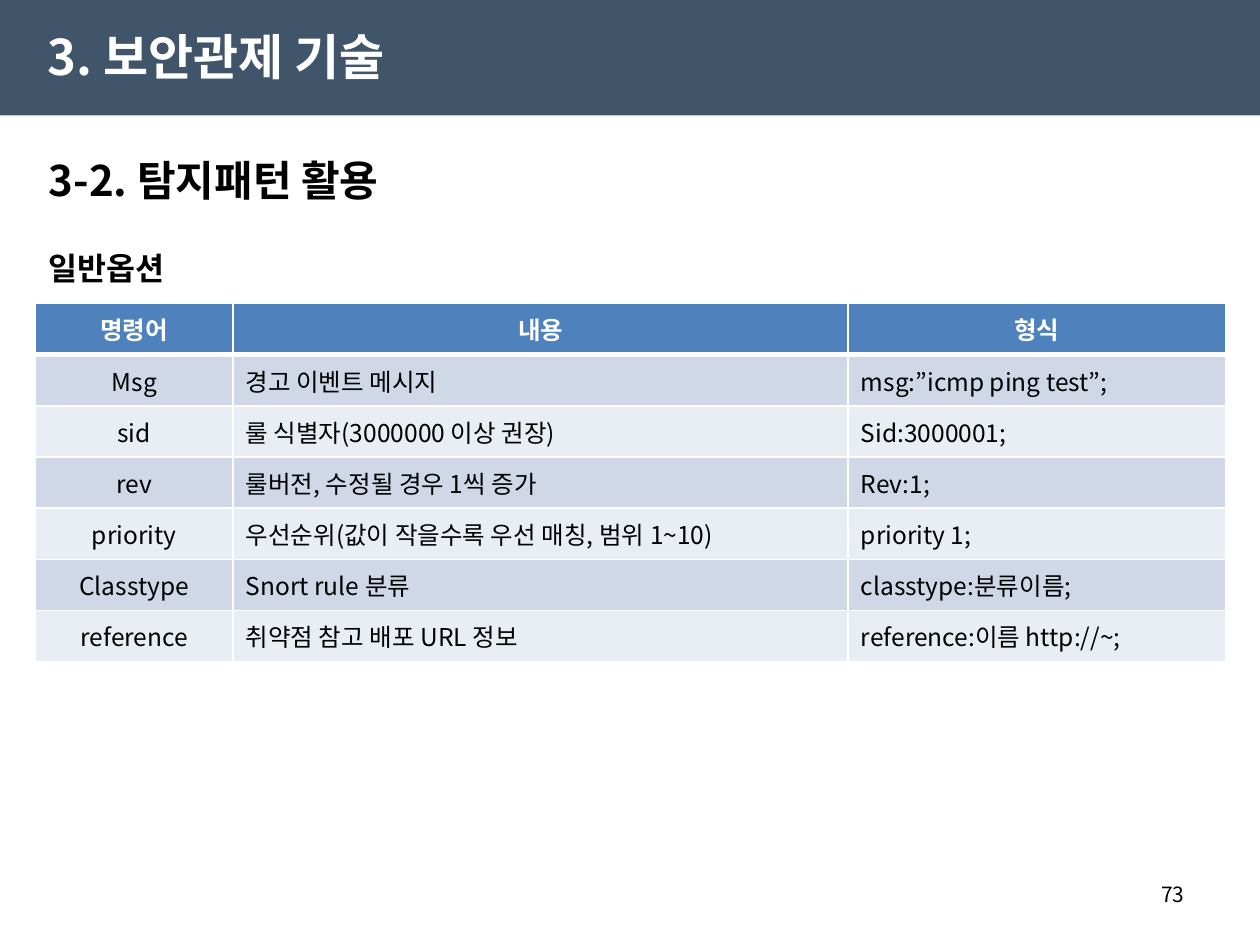
"""Build the slide on general options for detection patterns."""
from lxml.etree import SubElement as add_element
from pptx import Presentation
from pptx.dml.color import RGBColor
from pptx.enum.shapes import MSO_SHAPE as Shape
from pptx.enum.text import MSO_ANCHOR as Anchor, MSO_AUTO_SIZE as AutoSize, PP_ALIGN as Align
from pptx.oxml.ns import qn
from pptx.util import Pt

THEME = {
    "font": "Noto Sans CJK KR",
    "band": "40546A", "header": "4F81BD", "rows": ("D0D8E8", "E9EDF4"),
    "white": "FFFFFF", "black": "000000",
    "title": 28, "subtitle": 24, "section": 18, "table": 14, "number": 12,
}
PAGE_WIDTH, PAGE_HEIGHT = 720, 540
BAND_HEIGHT = 66
TEXTS = [
    {"text": "3. 보안관제 기술", "at": (20.2, 9.4, 339.8, 45.4), "size": "title",
     "color": "white", "bold": True, "anchor": Anchor.MIDDLE},
    {"text": "3-2. 탐지패턴 활용", "at": (20.9, 82.8, 679, 39.6), "size": "subtitle",
     "bold": True, "anchor": Anchor.MIDDLE},
    {"text": "일반옵션", "at": (20.9, 128.2, 679, 36), "size": "section",
     "bold": True, "format": {"line_spacing": 1.5}, "fit": AutoSize.SHAPE_TO_FIT_TEXT},
    {"text": "73", "at": (516.2, 500.4, 167.8, 28.8), "size": "number",
     "format": {"alignment": Align.RIGHT}},
]
TABLE_LEFT, TABLE_TOP, ROW_HEIGHT = 20.2, 173.5, 29.25
COLUMN_WIDTHS = (113, 351.5, 215.5)
OPTIONS = [
    ("명령어", "내용", "형식"),
    ("Msg", "경고 이벤트 메시지", "msg:”icmp ping test”;"),
    ("sid", "룰 식별자(3000000 이상 권장)", "Sid:3000001;"),
    ("rev", "룰버전, 수정될 경우 1씩 증가", "Rev:1;"),
    ("priority", "우선순위(값이 작을수록 우선 매칭, 범위 1~10)", "priority 1;"),
    ("Classtype", "Snort rule 분류", "classtype:분류이름;"),
    ("reference", "취약점 참고 배포 URL 정보", "reference:이름 http://~;"),
]


def paint(fill, color):
    fill.solid()
    fill.fore_color.rgb = RGBColor.from_string(color)


def apply(target, values):
    for name, value in values.items():
        setattr(target, name, value)


def write(frame, text, size, color="black", bold=False, **formats):
    para = frame.paragraphs[0]
    apply(para, formats)
    span = para.add_run()
    span.text = text
    apply(span.font, {"name": THEME["font"], "size": Pt(THEME[size]), "bold": bold})
    span.font.color.rgb = RGBColor.from_string(THEME[color])
    add_element(span.font._element, qn("a:ea"), typeface=THEME["font"])


def add_text(page, item):
    box = page.shapes.add_textbox(*map(Pt, item["at"]))
    apply(box.text_frame, {
        "word_wrap": True,
        "auto_size": item.get("fit", AutoSize.NONE),
        "vertical_anchor": item.get("anchor", Anchor.TOP),
    })
    write(box.text_frame, item["text"], item["size"], item.get("color", "black"),
          item.get("bold", False), **item.get("format", {}))


def add_borders(cell, widths):
    properties = cell._tc.get_or_add_tcPr()
    for side, width in widths.items():
        line = add_element(properties, qn(f"a:ln{side}"), w=str(Pt(width)))
        fill = add_element(line, qn("a:solidFill"))
        add_element(fill, qn("a:srgbClr"), val=THEME["white"])


def add_options(page):
    table = page.shapes.add_table(
        len(OPTIONS), len(COLUMN_WIDTHS), Pt(TABLE_LEFT), Pt(TABLE_TOP),
        Pt(sum(COLUMN_WIDTHS)), Pt(ROW_HEIGHT * len(OPTIONS))).table
    for column, width in zip(table.columns, COLUMN_WIDTHS):
        column.width = Pt(width)
    for r, values in enumerate(OPTIONS):
        table.rows[r].height = Pt(ROW_HEIGHT)
        header = r == 0
        for c, text in enumerate(values):
            cell = table.cell(r, c)
            cell.vertical_anchor = Anchor.MIDDLE
            add_borders(cell, {"L": 1, "R": 1, "T": 3 if r == 1 else 1, "B": 3 if header else 1})
            paint(cell.fill, THEME["header"] if header else THEME["rows"][(r - 1) % 2])
            write(cell.text_frame, text, "table", "white" if header else "black", header,
                  alignment=Align.CENTER if header or c == 0 else Align.LEFT)


def main():
    deck = Presentation()
    apply(deck, {"slide_width": Pt(PAGE_WIDTH), "slide_height": Pt(PAGE_HEIGHT)})
    page = deck.slides.add_slide(deck.slide_layouts[6])
    band = page.shapes.add_shape(Shape.RECTANGLE, 0, 0, Pt(PAGE_WIDTH), Pt(BAND_HEIGHT))
    band.shadow.inherit = False
    paint(band.fill, THEME["band"])
    band.line.fill.background()
    for item in TEXTS:
        add_text(page, item)
    add_options(page)
    deck.save("out.pptx")


if __name__ == "__main__":
    main()
